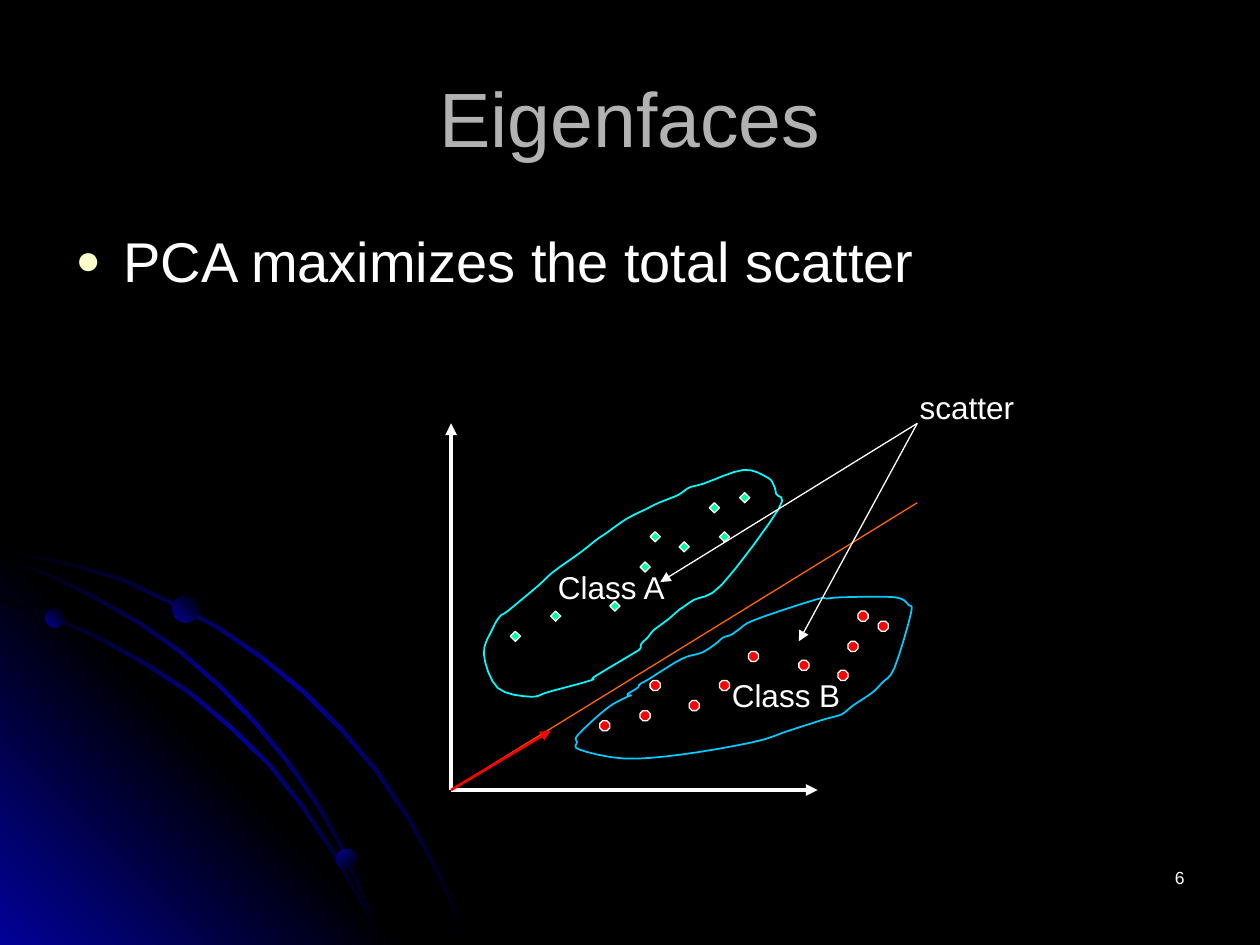
from dataclasses import dataclass

from lxml import etree
from pptx import Presentation
from pptx.dml.color import RGBColor
from pptx.enum import shapes, text
from pptx.oxml import ns
from pptx.util import Inches, Pt


@dataclass(frozen=True)
class Theme:
    font: str = "Arial"
    background: str = "000000"
    glow: str = "010199"
    title: str = "B2B2B2"
    ink: str = "FFFFFF"
    bullet: str = "FFFFCC"
    class_a: str = "00FF99"
    class_b: str = "FF0000"
    outline_a: str = "00FFFF"
    outline_b: str = "00CCFF"
    projection: str = "FF6600"
    eigenvector: str = "FF0000"
    title_size: int = 44
    body_size: int = 32
    label_size: int = 18
    number_size: int = 10


def smooth_loop(points, steps=4):
    """Closed Catmull-Rom curve through the given points."""
    curve = []
    count = len(points)
    for i in range(count):
        quad = [points[(i + k) % count] for k in (-1, 0, 1, 2)]
        for step in range(steps):
            t = step / steps
            curve.append(tuple(
                0.5 * (2 * b + (c - a) * t + (2 * a - 5 * b + 4 * c - d) * t ** 2
                       + (3 * b - a - 3 * c + d) * t ** 3)
                for a, b, c, d in zip(*quad)))
    return curve


def streak(edge, width=0.02):
    """Thin band: the upper edge, and back along the same edge moved inwards."""
    inner = [(max(x - width, 0), min(y + width, 7.5)) for x, y in reversed(edge)]
    return edge + inner


class SlideBuilder:
    def __init__(self, slide, theme):
        self.slide, self.theme = slide, theme
        slide.background.fill.solid()
        slide.background.fill.fore_color.rgb = RGBColor.from_string(theme.background)

    def run(self, paragraph, words, size, color):
        run = paragraph.add_run()
        run.text = words
        run.font.name, run.font.size = self.theme.font, Pt(size)
        run.font.color.rgb = RGBColor.from_string(color)

    def place(self, holder, box):
        holder.left, holder.top, holder.width, holder.height = map(Inches, box)
        holder.text_frame.auto_size = text.MSO_AUTO_SIZE.NONE
        return holder.text_frame

    def title(self, words, box):
        frame = self.place(self.slide.shapes.title, box)
        frame.vertical_anchor = text.MSO_ANCHOR.MIDDLE
        frame.paragraphs[0].alignment = text.PP_ALIGN.CENTER
        self.run(frame.paragraphs[0], words, self.theme.title_size, self.theme.title)

    def bullet(self, words, box):
        paragraph = self.place(self.slide.placeholders[1], box).paragraphs[0]
        paragraph.space_before = Pt(8)
        props = paragraph._p.get_or_add_pPr()
        props.set("marL", str(Inches(0.38)))
        props.set("indent", str(-Inches(0.38)))
        color = etree.SubElement(props, ns.qn("a:buClr"))
        etree.SubElement(color, ns.qn("a:srgbClr"), val=self.theme.bullet)
        etree.SubElement(props, ns.qn("a:buSzPct"), val="75000")
        etree.SubElement(props, ns.qn("a:buFont"), typeface=self.theme.font)
        etree.SubElement(props, ns.qn("a:buChar"), char="●")
        self.run(paragraph, words, self.theme.body_size, self.theme.ink)

    def label(self, words, box, size, align=text.PP_ALIGN.LEFT, wrap=False):
        frame = self.slide.shapes.add_textbox(*map(Inches, box)).text_frame
        frame.word_wrap = wrap
        frame.paragraphs[0].alignment = align
        self.run(frame.paragraphs[0], words, size, self.theme.ink)

    def line(self, start, end, color, width, arrow=True):
        line = self.slide.shapes.add_connector(
            shapes.MSO_CONNECTOR.STRAIGHT, *map(Inches, start + end))
        line.line.color.rgb = RGBColor.from_string(color)
        line.line.width = Pt(width)
        if arrow:
            etree.SubElement(line.line._get_or_add_ln(), ns.qn("a:tailEnd"), type="triangle")
        etree.SubElement(line._element.spPr, ns.qn("a:effectLst"))

    def markers(self, kind, corners, color):
        for left, top in corners:
            dot = self.slide.shapes.add_shape(
                kind, *map(Inches, (left, top, 0.08, 0.08)))
            dot.shadow.inherit = False
            dot.fill.solid()
            dot.fill.fore_color.rgb = RGBColor.from_string(color)
            dot.line.color.rgb = RGBColor.from_string(self.theme.ink)
            dot.line.width = Pt(0.75)

    def freeform(self, points, parent=None):
        corners = [(Inches(x), Inches(y)) for x, y in points]
        builder = (parent or self.slide).shapes.build_freeform(*corners[0])
        builder.add_line_segments(corners[1:], close=True)
        form = builder.convert_to_shape()
        form.shadow.inherit = False
        return form

    def outline(self, points, color):
        form = self.freeform(smooth_loop(points))
        form.fill.background()
        form.line.color.rgb = RGBColor.from_string(color)
        form.line.width = Pt(1)

    def gradient(self, shape, colors, clockwise):
        shape.line.fill.background()
        shape.fill.gradient()
        shape.fill.gradient_angle = 360 - clockwise
        stops = shape._element.spPr.find(".//" + ns.qn("a:gsLst"))
        stops.clear()
        for i, color in enumerate(colors):
            stop = etree.SubElement(stops, ns.qn("a:gs"),
                                    pos=str(100000 * i // (len(colors) - 1)))
            etree.SubElement(stop, ns.qn("a:srgbClr"), val=color)

    def orbits(self, corner, arcs, planets):
        dark, glow = self.theme.background, self.theme.glow
        group = self.slide.shapes.add_group_shape()
        self.gradient(self.freeform(streak(arcs[0]), group), (dark, glow, dark), 45)
        self.gradient(self.freeform(corner, group), (glow, dark, glow), 315)
        for arc in arcs[1:]:
            self.gradient(self.freeform(streak(arc), group), (dark, glow, dark), 45)
        for left, top, size, angle in planets:
            planet = group.shapes.add_shape(
                shapes.MSO_SHAPE.OVAL, *map(Inches, (left, top, size, size)))
            planet.shadow.inherit = False
            self.gradient(planet, (glow, dark), angle)


# Corner decoration: upper edges of the arcs, and planets as left, top, size, angle
GLOW_CORNER = [(3.22, 7.5), (0, 7.5), (0, 4.27)]
ARCS = [
    [(0, 4.35), (0.28, 4.41), (0.57, 4.47), (0.98, 4.59), (1.36, 4.77), (1.74, 4.97),
     (2.09, 5.21), (2.42, 5.48), (2.72, 5.78), (3, 6.11), (3.25, 6.48), (3.39, 6.73),
     (3.52, 6.98), (3.62, 7.23), (3.72, 7.5)],
    [(0, 4.75), (0.41, 4.88), (0.79, 5.05), (1.17, 5.26), (1.52, 5.49), (1.84, 5.76),
     (2.15, 6.06), (2.42, 6.4), (2.66, 6.76), (2.86, 7.12), (2.96, 7.3), (3.03, 7.5)],
    [(0, 4.42), (0.39, 4.55), (0.76, 4.73), (1.11, 4.93), (1.44, 5.16), (1.75, 5.43),
     (2.04, 5.73), (2.29, 6.03), (2.54, 6.39), (2.69, 6.65), (2.82, 6.93),
     (2.94, 7.2), (3.03, 7.5)],
]
PLANETS = [(0.36, 4.83, 0.15, 315), (2.67, 6.74, 0.16, 45), (1.37, 4.73, 0.21, 315)]

# Samples of each class and the outline around them
SAMPLES_A = [(4.05, 5.01), (5.16, 4.22), (5.71, 4.22), (5.63, 3.99), (4.84, 4.77),
             (4.37, 4.85), (5.08, 4.46), (5.87, 3.91), (5.39, 4.3)]
SAMPLES_B = [(5.08, 5.64), (5.16, 5.4), (5.94, 5.17), (5.47, 5.56), (5.71, 5.4),
             (6.73, 5.09), (6.65, 5.32), (6.97, 4.93), (6.34, 5.24), (6.81, 4.85),
             (4.76, 5.72)]
OUTLINE_A = [
    (5.18, 5.01), (5.14, 5.06), (5.09, 5.11), (5.08, 5.15), (5.02, 5.19), (4.72, 5.37),
    (4.69, 5.4), (4.36, 5.49), (4.21, 5.53), (3.95, 5.46), (3.84, 5.19), (3.91, 4.99),
    (3.97, 4.89), (4.03, 4.85), (4.27, 4.65), (4.39, 4.54), (4.6, 4.39), (4.74, 4.28),
    (4.8, 4.24), (4.97, 4.12), (5.13, 4.04), (5.23, 3.99), (5.38, 3.93), (5.47, 3.87),
    (5.58, 3.84), (5.9, 3.73), (6.09, 3.79), (6.14, 3.85), (6.16, 3.92), (6.18, 4.04),
    (5.73, 4.64), (5.51, 4.76), (5.42, 4.82), (5.39, 4.84), (5.31, 4.91), (5.23, 4.97)]
OUTLINE_B = [
    (4.98, 5.51), (5.06, 5.46), (5.08, 5.43), (5.15, 5.39), (5.41, 5.23), (5.57, 5.18),
    (5.68, 5.11), (5.74, 5.06), (5.8, 5.04), (5.86, 5), (5.99, 4.92), (6.47, 4.76),
    (6.57, 4.75), (6.7, 4.74), (7.1, 4.74), (7.21, 4.8), (7.23, 4.87), (7.1, 5.3),
    (7, 5.42), (6.92, 5.5), (6.77, 5.6), (6.68, 5.67), (6.54, 5.71), (6.26, 5.8),
    (5.98, 5.89), (5.4, 5.99), (4.95, 6.02), (4.6, 5.95), (4.58, 5.89), (4.59, 5.83),
    (4.82, 5.62), (4.98, 5.53), (5.01, 5.52)]


def main():
    deck = Presentation()
    deck.slide_width, deck.slide_height = Inches(10), Inches(7.5)
    theme = Theme()
    page = SlideBuilder(deck.slides.add_slide(deck.slide_layouts[1]), theme)

    # Backdrop, heading and statement
    page.orbits(GLOW_CORNER, ARCS, PLANETS)
    page.label("6", (7.17, 6.83, 2.33, 0.5), theme.number_size,
               text.PP_ALIGN.RIGHT, wrap=True)
    page.title("Eigenfaces", (0.5, 0.3, 9, 1.25))
    page.bullet("PCA maximizes the total scatter", (0.5, 1.75, 9, 1.06))

    # Axes and samples
    origin, callout = (3.58, 6.27), (7.28, 3.36)
    for axis_end in ((3.58, 3.36), (6.49, 6.27)):
        page.line(origin, axis_end, theme.ink, 2.25)
    page.markers(shapes.MSO_SHAPE.DIAMOND, SAMPLES_A, theme.class_a)
    page.markers(shapes.MSO_SHAPE.OCTAGON, SAMPLES_B, theme.class_b)

    # Projection direction and class outlines
    page.line(origin, (7.28, 3.99), theme.projection, 0.75, arrow=False)
    page.line(origin, (4.37, 5.8), theme.eigenvector, 1.5)
    page.outline(OUTLINE_A, theme.outline_a)
    page.outline(OUTLINE_B, theme.outline_b)

    # Scatter callout and labels
    for target in ((5.24, 4.62), (6.34, 5.09)):
        page.line(callout, target, theme.ink, 0.75)
    for words, box in (("scatter", (7.2, 3.03, 0.95, 0.4)),
                       ("Class A", (4.33, 4.46, 1.06, 0.4)),
                       ("Class B", (5.71, 5.32, 1.06, 0.4))):
        page.label(words, box, theme.label_size)

    deck.save("out.pptx")


if __name__ == "__main__":
    main()
